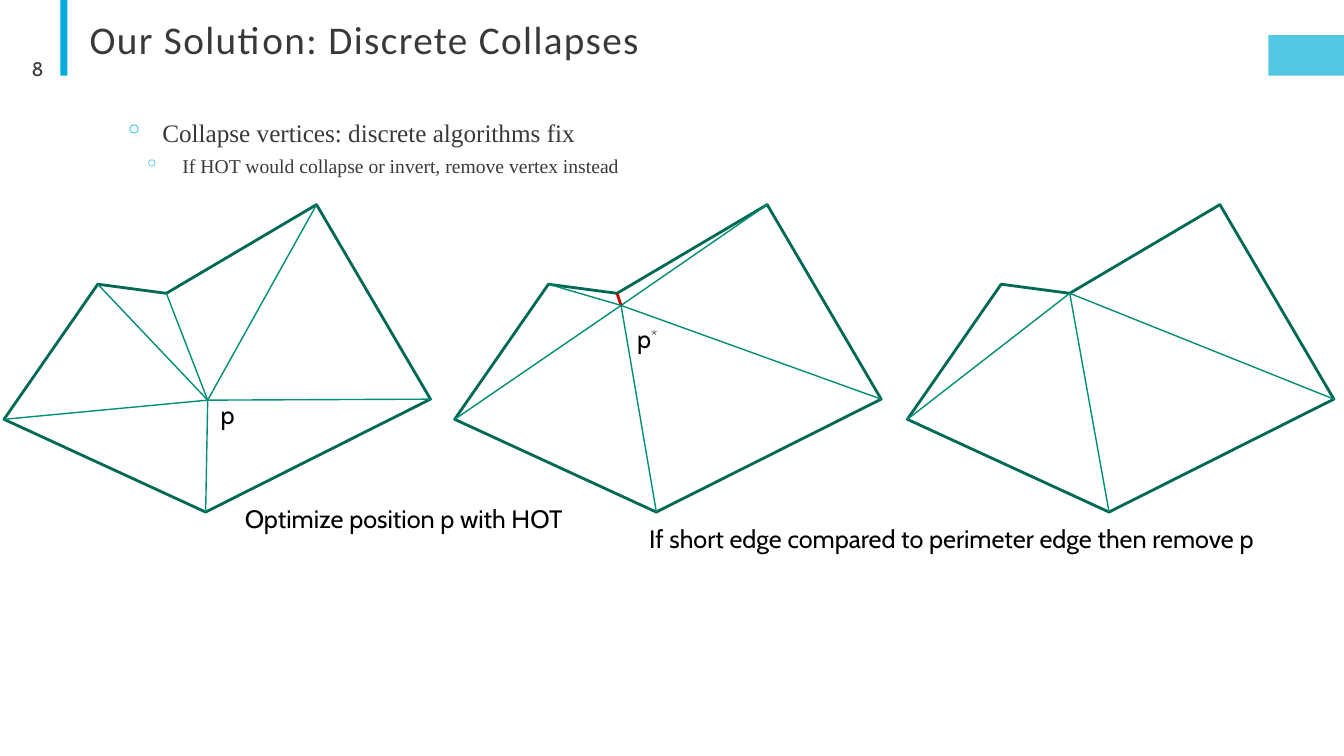
from lxml.etree import SubElement as Sub
from pptx import Presentation
from pptx.dml.color import RGBColor as Rgb
from pptx.enum.shapes import MSO_CONNECTOR as Conn, MSO_SHAPE as Kind
from pptx.enum.text import MSO_ANCHOR as Anchor, PP_ALIGN as Align
from pptx.oxml.ns import qn
from pptx.util import Inches, Pt

COLS, ROWS = 13.33, 7.5  # grid of one-inch cells
INK = {"bar": "00ACD9", "text": "3B3838", "bullet": "00B0F0", "label": "000000",
       "rim": "006956", "spoke": "008E74", "short": "C00000"}
LABEL = {"name": "Cabin", "size": Pt(18), "ink": "label"}
TITLE = {"name": "Calibri", "size": Pt(28), "ink": "text"}
NUMBER = {"name": "Cabin", "size": Pt(14), "ink": "text"}
POINT = {"name": "Times New Roman", "size": Pt(18), "ink": "text"}

RING = [(0, 4.16), (2, 5.08), (4.23, 3.96), (3.1, 2.03), (1.61, 2.91), (0.93, 2.82)]
NOTCH = 4  # ring index of the inward corner
# left edge, hub, ring corners joined to the hub, corner of the short edge
MESHES = [
    (0.04, (2.02, 3.97), range(6), None),
    (4.51, (1.65, 3.03), range(6), NOTCH),
    (9, RING[NOTCH], range(3), None),
]
POINTS = [
    ("Collapse vertices: discrete algorithms fix", 0.79, 18, 0),
    ("If HOT would collapse or invert, remove vertex instead", 0.99, 14, 2),
]


def cells(*spans):
    return [Inches(span) for span in spans]


def style(font, form):
    for key, value in form.items():
        if key == "ink":
            font.color.rgb = Rgb.from_string(INK[value])
        else:
            setattr(font, key, value)


def add_bar(slide, box, alpha=None):
    bar = slide.shapes.add_shape(Kind.RECTANGLE, *cells(*box))
    bar.shadow.inherit = False
    bar.line.fill.background()
    bar.fill.solid()
    bar.fill.fore_color.rgb = Rgb.from_string(INK["bar"])
    if alpha:
        tint = next(bar._element.spPr.iter(qn("a:srgbClr")))
        Sub(tint, qn("a:alpha"), val=str(alpha * 1000))


def add_frame(slide, box, **props):
    frame = slide.shapes.add_textbox(*cells(*box)).text_frame
    frame.word_wrap = True
    for key, value in props.items():
        setattr(frame, key, value)
    return frame


def add_run(para, text, form):
    run = para.add_run()
    run.text = text
    style(run.font, form)
    return run.font._element


def add_text(slide, box, text, form, **props):
    para = add_frame(slide, box, **props).paragraphs[0]
    return para, add_run(para, text, form)


def add_points(slide, box):
    frame = add_frame(slide, box, margin_left=0, margin_right=0)
    for row, (text, left, size, before) in enumerate(POINTS):
        para = frame.add_paragraph() if row else frame.paragraphs[0]
        props = para._p.get_or_add_pPr()
        props.set("marL", str(Inches(left)))
        props.set("indent", str(Inches(-0.38)))
        Sub(Sub(props, qn("a:buClr")), qn("a:srgbClr"), val=INK["bullet"])
        Sub(props, qn("a:buChar"), char="◦")
        para.line_spacing = 0.9
        para.space_before, para.space_after = Pt(before), Pt(4)
        add_run(para, text, POINT | {"size": Pt(size)})


def add_line(slide, start, end, ink, width):
    line = slide.shapes.add_connector(Conn.STRAIGHT, *cells(*start, *end))
    line.line.color.rgb = Rgb.from_string(INK[ink])
    line.line.width = Pt(width)
    Sub(line._element.spPr, qn("a:effectLst"))


def add_mesh(slide, left, hub, joined, short):
    """Draw a closed rim and the spokes from its hub."""
    hub, *ring = [(left + x, y) for x, y in [hub, *RING]]
    pen = slide.shapes.build_freeform(*cells(*ring[0]))
    pen.add_line_segments([cells(*spot) for spot in ring[1:]], close=True)
    rim = pen.convert_to_shape()
    rim.shadow.inherit = False
    rim.fill.background()
    rim.line.color.rgb = Rgb.from_string(INK["rim"])
    rim.line.width = Pt(2)
    for spot in joined:
        ink, width = ("short", 2) if spot == short else ("spoke", 1)
        add_line(slide, hub, ring[spot], ink, width)


def main():
    deck = Presentation()
    deck.slide_width, deck.slide_height = cells(COLS, ROWS)
    slide = deck.slides.add_slide(deck.slide_layouts[6])

    add_bar(slide, (0.6, 0, 0.07, 0.75))
    add_bar(slide, (COLS - 0.75, 0.35, 0.75, 0.4), 67)
    para, font = add_text(slide, (0.79, 0.17, 11.6, 0.56),
                          "Our Solution: Discrete Collapses", TITLE)
    para.line_spacing = 0.85
    font.set("spc", "100")
    para, font = add_text(slide, (0.07, 0.48, 0.46, 0.4), "8", NUMBER,
                          vertical_anchor=Anchor.MIDDLE)
    para.alignment = Align.RIGHT
    add_points(slide, (0.82, 1.15, 5.33, 1.15))

    for mesh in MESHES:
        add_mesh(slide, *mesh)
    add_text(slide, (2.09, 3.91, 0.34, 0.4), "p", LABEL)
    para, font = add_text(slide, (6.22, 3.16, 0.61, 0.4), "p", LABEL)
    add_run(para, "*", LABEL).set("baseline", "30000")
    add_text(slide, (2.33, 4.94, 4.97, 0.71), "Optimize position p with HOT", LABEL)
    add_text(slide, (6.34, 5.14, 6.67, 0.4),
             "If short edge compared to perimeter edge then remove p", LABEL)
    deck.save("out.pptx")


if __name__ == "__main__":
    main()
